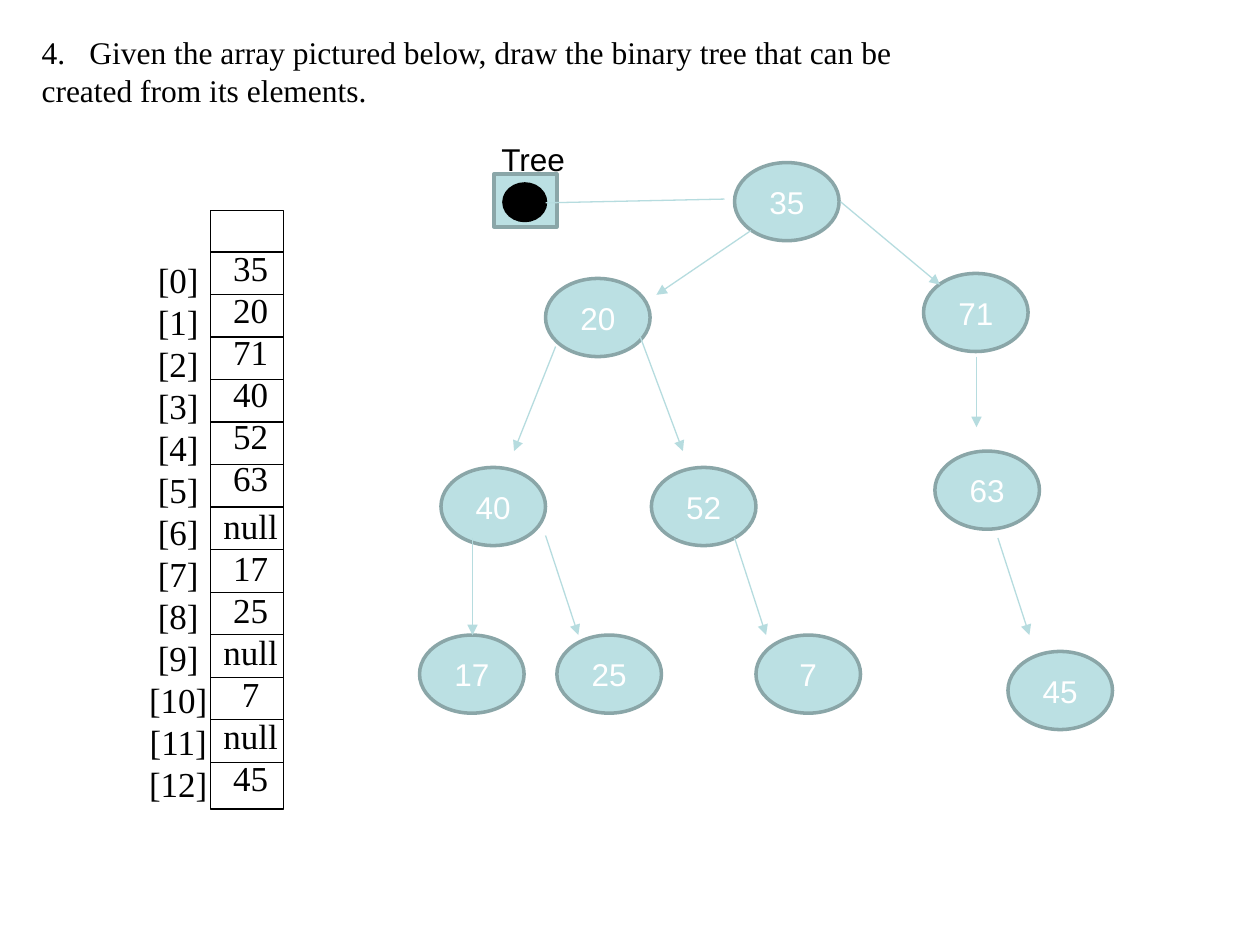
from lxml import etree
from pptx import Presentation, util as u
from pptx.dml.color import RGBColor
from pptx.enum import shapes, text
from pptx.oxml import ns

BLACK = RGBColor(0x00, 0x00, 0x00)
WHITE = RGBColor(0xFF, 0xFF, 0xFF)
NODE_FILL = RGBColor(0xBB, 0xE0, 0xE3)
NODE_LINE = RGBColor(0x8A, 0xA6, 0xA8)
ARROW = RGBColor(0xB6, 0xDC, 0xDF)
SERIF, SANS = "Times New Roman", "Arial"

QUESTION = ["Given the array pictured below, draw the binary tree that can be",
            "created from its elements."]
QUESTION_NUMBER = 4
VALUES = ["35", "20", "71", "40", "52", "63", "null", "17", "25", "null", "7", "null", "45"]
INDEXES = [f"[{i}]" for i in range(len(VALUES))]
NODES = [("35", 5.83, 1.29), ("20", 4.33, 2.21), ("71", 7.33, 2.17), ("40", 3.5, 3.71),
         ("52", 5.17, 3.71), ("63", 7.42, 3.58), ("17", 3.33, 5.04), ("25", 4.42, 5.04),
         ("7", 6, 5.04), ("45", 8, 5.17)]
EDGES = [(5.96, 1.83, 5.21, 2.34), (6.67, 1.6, 7.46, 2.26), (7.75, 2.83, 7.75, 3.39),
         (7.92, 4.27, 8.17, 5.04), (5.83, 4.27, 6.08, 5.04), (3.75, 4.27, 3.75, 5.04),
         (4.33, 4.25, 4.59, 5.04), (5.08, 2.67, 5.42, 3.58), (4.41, 2.75, 4.08, 3.58)]
NODE_SIZE = (0.83, 0.62)
ARRAY_LEFT, ARRAY_TOP, ARRAY_WIDTH, ARRAY_HEIGHT = 1.67, 1.67, 0.58, 4.75
FIRST_RULE, LAST_RULE = 2, 6.05


def inches(*lengths):
    return [u.Inches(length) for length in lengths]


def write(paragraph, words, size, font, color, align=text.PP_ALIGN.CENTER, leading=None):
    paragraph.alignment = align
    if leading:
        paragraph.line_spacing = u.Pt(leading)
    run = paragraph.add_run()
    run.text = words
    run.font.size, run.font.name = u.Pt(size), font
    run.font.color.rgb = color


def write_lines(frame, lines, *style, **options):
    for i, words in enumerate(lines):
        paragraph = frame.paragraphs[0] if i == 0 else frame.add_paragraph()
        write(paragraph, words, *style, **options)


def add_box(slide, *place):
    frame = slide.shapes.add_textbox(*inches(*place)).text_frame
    frame.word_wrap = False
    return frame


def add_figure(slide, kind, place, fill, line, width):
    figure = slide.shapes.add_shape(kind, *inches(*place))
    figure.shadow.inherit = False
    if fill is None:
        figure.fill.background()
    else:
        figure.fill.solid()
        figure.fill.fore_color.rgb = fill
    figure.line.color.rgb = line
    figure.line.width = u.Pt(width)
    return figure


def add_line(slide, ends, color, arrow=False):
    line = slide.shapes.add_connector(shapes.MSO_CONNECTOR.STRAIGHT, *inches(*ends))
    line.line.color.rgb = color
    line.line.width = u.Pt(0.75)
    if arrow:
        etree.SubElement(line.line._get_or_add_ln(), ns.qn("a:tailEnd"), type="triangle")
    etree.SubElement(line._element.spPr, ns.qn("a:effectLst"))


def add_question(slide):
    title = slide.shapes.title
    title.left, title.top, title.width, title.height = inches(0.23, 0.21, 7.02, 0.71)
    frame = title.text_frame
    frame.word_wrap = True
    frame.auto_size = text.MSO_AUTO_SIZE.NONE
    frame.vertical_anchor = text.MSO_ANCHOR.TOP
    write_lines(frame, QUESTION, 18, SERIF, BLACK, align=text.PP_ALIGN.LEFT, leading=21.7)
    numbered = frame.paragraphs[0]._p.get_or_add_pPr()
    numbered.set("marL", str(u.Inches(0.38)))
    numbered.set("indent", str(u.Inches(-0.38)))
    etree.SubElement(numbered, ns.qn("a:buFontTx"))
    etree.SubElement(numbered, ns.qn("a:buAutoNum"), type="arabicPeriod",
                     startAt=str(QUESTION_NUMBER))


def add_array(slide):
    add_figure(slide, shapes.MSO_SHAPE.RECTANGLE,
               (ARRAY_LEFT, ARRAY_TOP, ARRAY_WIDTH, ARRAY_HEIGHT), None, BLACK, 0.75)
    step = (LAST_RULE - FIRST_RULE) / (len(VALUES) - 1)
    for i in range(len(VALUES)):
        y = FIRST_RULE + i * step
        add_line(slide, (ARRAY_LEFT, y, ARRAY_LEFT + ARRAY_WIDTH, y), BLACK)
    write_lines(add_box(slide, 1.08, 2, 0.67, 4.48), INDEXES, 20, SERIF, BLACK, leading=24)
    cells = add_box(slide, ARRAY_LEFT, 1.91, 0.64, 4.48)
    write_lines(cells, VALUES, 20, SERIF, BLACK, leading=24)
    cells.paragraphs[VALUES.index("null")].space_before = u.Pt(3)


def add_tree(slide):
    oval = shapes.MSO_SHAPE.OVAL
    add_figure(slide, shapes.MSO_SHAPE.RECTANGLE, (3.92, 1.38, 0.5, 0.42),
               NODE_FILL, NODE_LINE, 2)
    add_figure(slide, oval, (4, 1.46, 0.33, 0.29), BLACK, BLACK, 2)
    write_lines(add_box(slide, 3.88, 1.06, 0.71, 0.4), ["Tree"], 18, SANS, BLACK,
                align=text.PP_ALIGN.LEFT)
    add_line(slide, (4.33, 1.61, 5.75, 1.58), ARROW)
    for value, left, top in NODES:
        node = add_figure(slide, oval, (left, top, *NODE_SIZE), NODE_FILL, NODE_LINE, 2)
        node.text_frame.vertical_anchor = text.MSO_ANCHOR.MIDDLE
        write_lines(node.text_frame, [value], 18, SANS, WHITE)
    for ends in EDGES:
        add_line(slide, ends, ARROW, arrow=True)


def main():
    deck = Presentation()
    deck.slide_width, deck.slide_height = inches(10, 7.5)
    slide = deck.slides.add_slide(deck.slide_layouts[5])
    add_question(slide)
    add_array(slide)
    add_tree(slide)
    deck.save("out.pptx")


if __name__ == "__main__":
    main()
